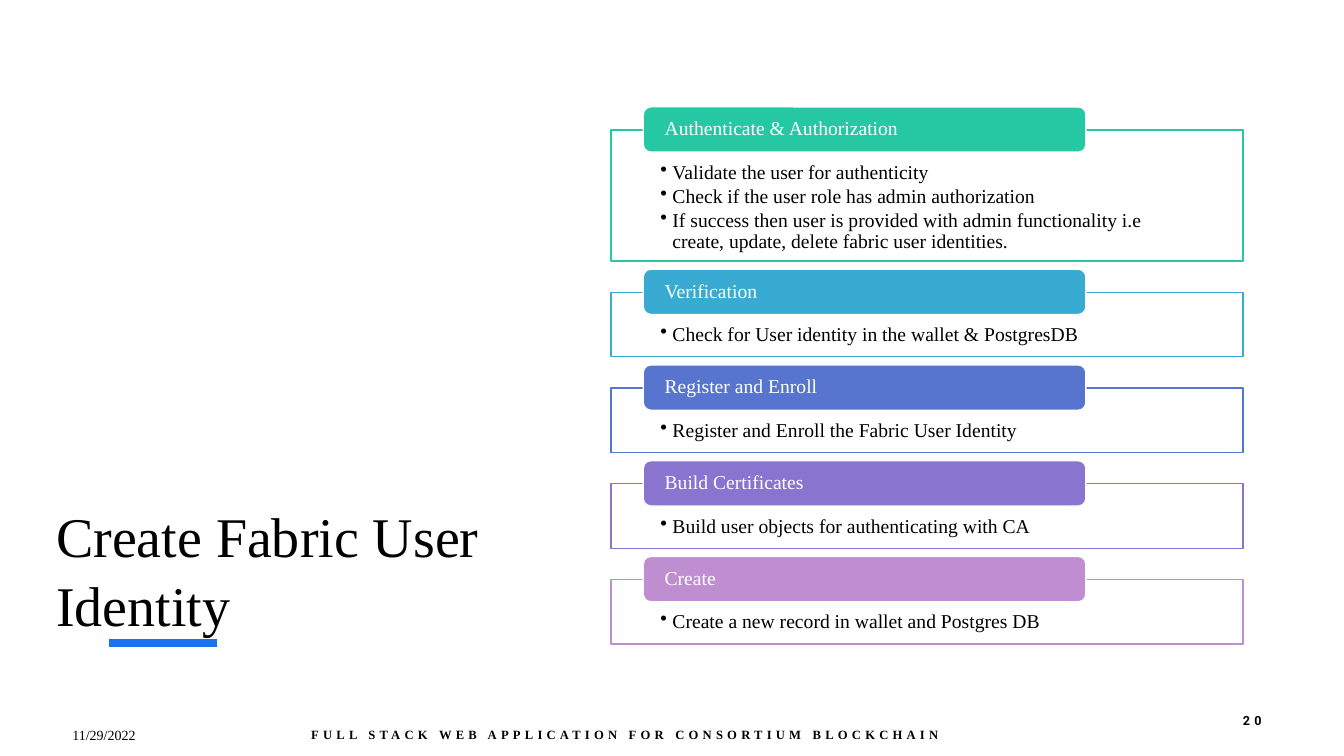
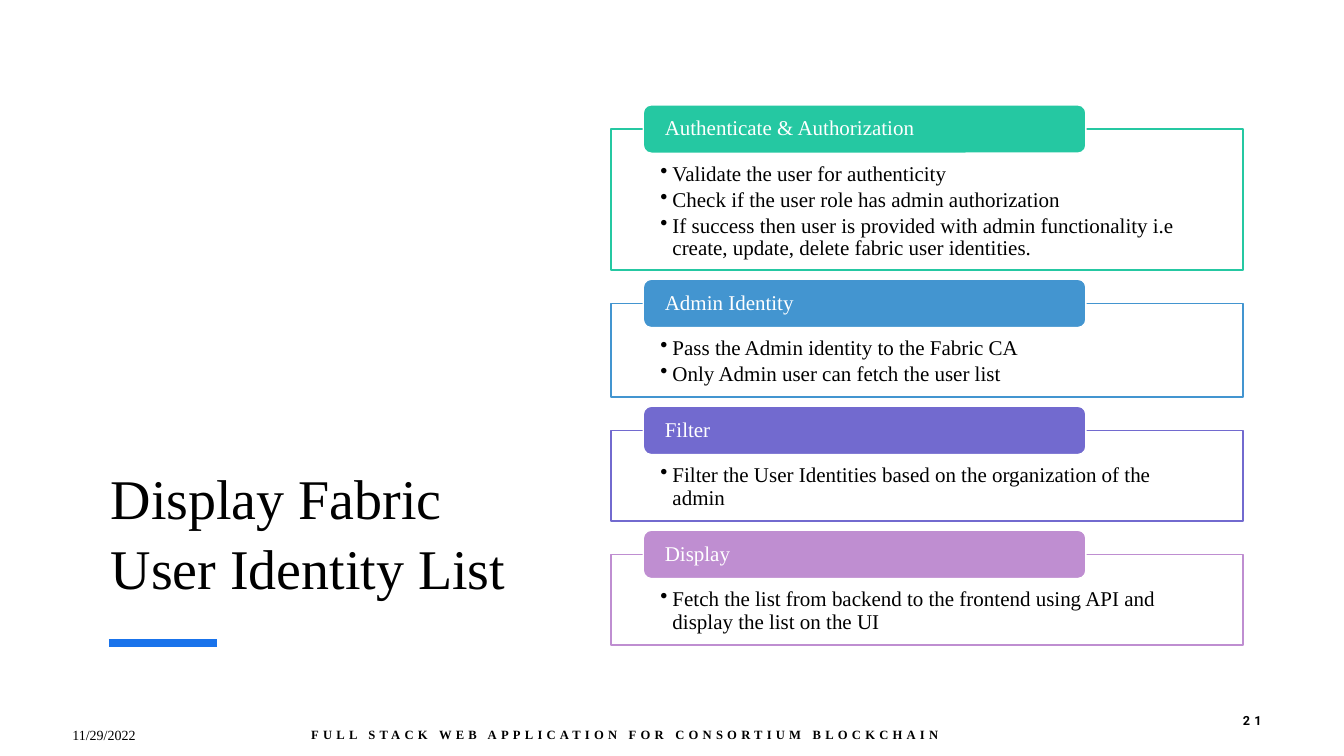
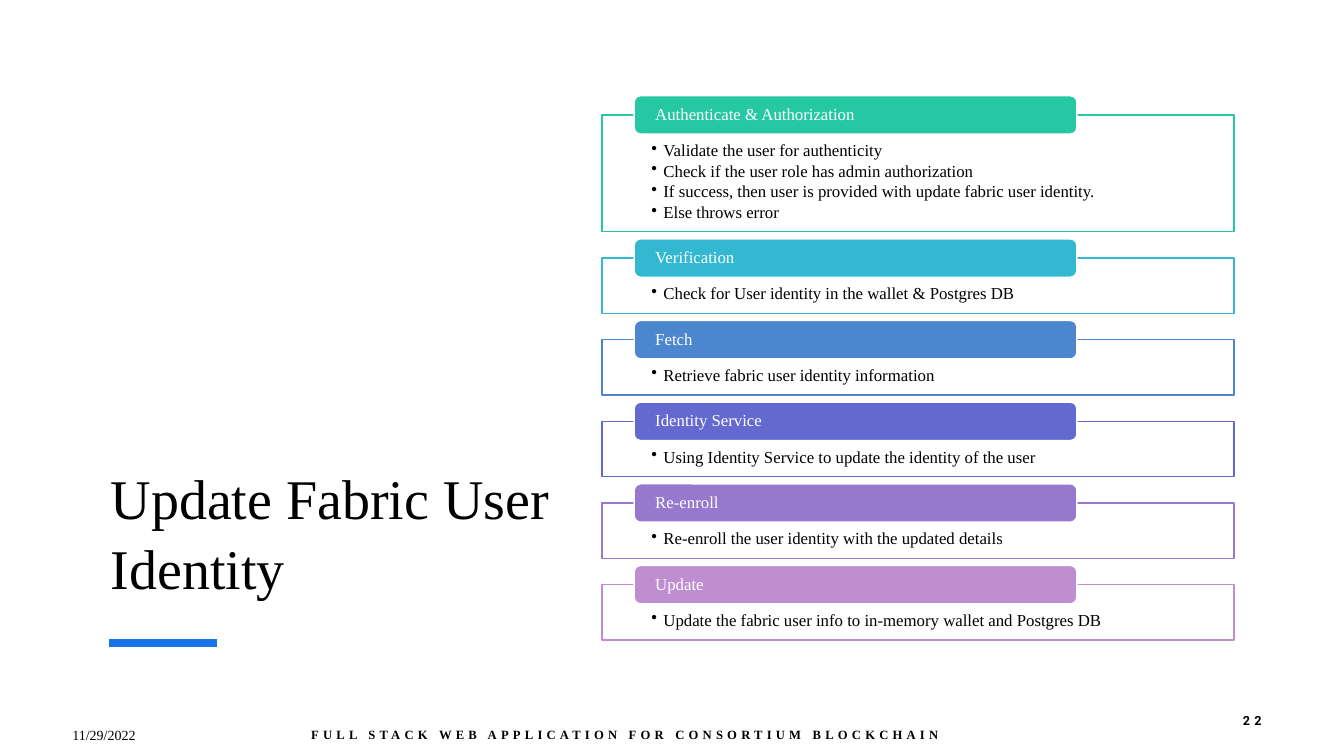
from dataclasses import dataclass

from lxml.etree import SubElement
from pptx import Presentation
from pptx.dml.color import RGBColor
from pptx.enum.shapes import MSO_CONNECTOR, MSO_SHAPE
from pptx.enum.text import MSO_ANCHOR, PP_ALIGN
from pptx.oxml.ns import qn
from pptx.util import Emu, Pt

EMU_PER_PX = 9144  # 100 px to the inch
SERIF = "Times New Roman"
SANS = "Roboto"
BLACK = "000000"
WHITE = "FFFFFF"
ACCENT = "1973EB"
FOOTER = "FULL STACK WEB APPLICATION FOR CONSORTIUM BLOCKCHAIN"
DATE = "11/29/2022"

BOX_WIDTH = 627
BOX_INSET = 49
TAB_WIDTH = 439
TAB_SHIFT = 32
TAB_INSET = 19
BULLET_INDENT = 12


@dataclass(frozen=True)
class Step:
    heading: str
    color: str
    height: int
    bullets: tuple[str, ...]


@dataclass(frozen=True)
class Stack:
    left: int
    top: int
    tab_height: int
    drop: int  # from the top of a tab to the top of its box
    gap: int  # from the bottom of a box to the next tab
    inset_top: int
    inset_bottom: int
    size: int
    steps: tuple[Step, ...]


@dataclass(frozen=True)
class Topic:
    number: int
    title: str
    title_at: tuple[int, int]
    stack: Stack


def px(length: int) -> Emu:
    return Emu(length * EMU_PER_PX)


def rgb(color: str) -> RGBColor:
    return RGBColor.from_string(color)


def set_font(para, size: float, color: str = BLACK, name: str = SERIF,
             bold: bool = False) -> None:
    para.font.size = Pt(size)
    para.font.name = name
    para.font.bold = bold
    para.font.color.rgb = rgb(color)


def set_frame(frame, anchor, insets: tuple[int, int, int, int]) -> None:
    frame.word_wrap = True
    frame.vertical_anchor = anchor
    (frame.margin_left, frame.margin_top,
     frame.margin_right, frame.margin_bottom) = map(px, insets)


def add_label(page, text: str, at: tuple[int, int, int, int], size: int,
              anchor=MSO_ANCHOR.MIDDLE, align=PP_ALIGN.LEFT, name: str = SERIF,
              bold: bool = False, tracking: int = 0):
    box = page.shapes.add_textbox(*map(px, at))
    set_frame(box.text_frame, anchor, (10, 5, 10, 5))
    para = box.text_frame.paragraphs[0]
    span = para.add_run()
    span.text = text
    para.alignment = align
    set_font(para, size, name=name, bold=bold)
    if tracking:
        span._r.get_or_add_rPr().set("spc", str(tracking * 100))
    return para


def add_panel(page, preset, at: tuple[int, int, int, int], fill: str, line: str):
    panel = page.shapes.add_shape(preset, *map(px, at))
    panel.shadow.inherit = False
    panel.fill.solid()
    panel.fill.fore_color.rgb = rgb(fill)
    panel.line.color.rgb = rgb(line)
    panel.line.width = Pt(1)
    return panel


def add_bullet(para) -> None:
    properties = para._p.get_or_add_pPr()
    properties.set("marL", str(px(BULLET_INDENT)))
    properties.set("indent", str(-px(BULLET_INDENT)))
    SubElement(properties, qn("a:buChar")).set("char", "•")


def add_step(page, stack: Stack, step: Step, top: int) -> None:
    # Outlined box with bullets
    box = add_panel(page, MSO_SHAPE.RECTANGLE,
                    (stack.left, top + stack.drop, BOX_WIDTH, step.height),
                    WHITE, step.color)
    frame = box.text_frame
    set_frame(frame, MSO_ANCHOR.TOP,
              (BOX_INSET, stack.inset_top, BOX_INSET, stack.inset_bottom))
    for index, text in enumerate(step.bullets):
        para = frame.add_paragraph() if index else frame.paragraphs[0]
        para.text = text
        add_bullet(para)
        para.alignment = PP_ALIGN.LEFT
        para.line_spacing = 0.9
        para.space_after = Pt(stack.size * 0.15)
        set_font(para, stack.size)

    # Coloured tab over the top edge
    tab = add_panel(page, MSO_SHAPE.ROUNDED_RECTANGLE,
                    (stack.left + TAB_SHIFT, top, TAB_WIDTH, stack.tab_height),
                    step.color, WHITE)
    set_frame(tab.text_frame, MSO_ANCHOR.MIDDLE, (TAB_INSET, 0, TAB_INSET, 0))
    para = tab.text_frame.paragraphs[0]
    para.text = step.heading
    para.alignment = PP_ALIGN.LEFT
    para.line_spacing = 0.9
    set_font(para, stack.size, WHITE)


def add_stack(page, stack: Stack) -> None:
    top = stack.top
    for step in stack.steps:
        add_step(page, stack, step, top)
        top += stack.drop + step.height + stack.gap


def add_rule(page) -> None:
    rule = page.shapes.add_connector(
        MSO_CONNECTOR.STRAIGHT, px(108), px(638), px(215), px(638))
    rule.line.color.rgb = rgb(ACCENT)
    rule.line.width = Pt(6)
    SubElement(rule._element.spPr, qn("a:effectLst"))


def add_topic(deck, topic: Topic) -> None:
    page = deck.slides.add_slide(deck.slide_layouts[6])
    # Title and accent rule
    title = add_label(page, topic.title, (*topic.title_at, 460, 501), 40,
                      anchor=MSO_ANCHOR.BOTTOM)
    title.line_spacing = 1.04
    add_rule(page)
    add_stack(page, topic.stack)
    # Footer
    add_label(page, str(topic.number), (1182, 695, 79, 40), 9,
              align=PP_ALIGN.RIGHT, name=SANS, bold=True, tracking=3)
    add_label(page, FOOTER, (236, 709, 704, 40), 9,
              align=PP_ALIGN.RIGHT, bold=True, tracking=3)
    add_label(page, DATE, (62, 716, 192, 27), 10, anchor=MSO_ANCHOR.TOP)


AUTHENTICATE = "Authenticate & Authorization"
CHECKS = (
    "Validate the user for authenticity",
    "Check if the user role has admin authorization",
)
ADMIN_CHECKS = CHECKS + (
    "If success then user is provided with admin functionality i.e create, "
    "update, delete fabric user identities.",
)
GREEN = "25C8A2"
MAUVE = "BF8ED1"

TOPICS = (
    Topic(20, "Create Fabric User Identity", (46, 137), Stack(
        left=606, top=106, tab_height=45, drop=23, gap=8,
        inset_top=32, inset_bottom=11, size=14, steps=(
            Step(AUTHENTICATE, GREEN, 130, ADMIN_CHECKS),
            Step("Verification", "39AAD1", 64,
                 ("Check for User identity in the wallet & PostgresDB",)),
            Step("Register and Enroll", "5775CF", 64,
                 ("Register and Enroll the Fabric User Identity",)),
            Step("Build Certificates", "8974CF", 64,
                 ("Build user objects for authenticating with CA",)),
            Step("Create", MAUVE, 64,
                 ("Create a new record in wallet and Postgres DB",)),
        ))),
    Topic(21, "Display Fabric User Identity List", (100, 100), Stack(
        left=606, top=104, tab_height=48, drop=24, gap=9,
        inset_top=34, inset_bottom=12, size=15, steps=(
            Step(AUTHENTICATE, GREEN, 140, ADMIN_CHECKS),
            Step("Admin Identity", "4395D0", 93,
                 ("Pass the Admin identity to the Fabric CA",
                  "Only Admin user can fetch the user list")),
            Step("Filter", "726ACF", 90,
                 ("Filter the User Identities based on the organization "
                  "of the admin",)),
            Step("Display", MAUVE, 90,
                 ("Fetch the list from backend to the frontend using API "
                  "and display the list on the UI",)),
        ))),
    Topic(22, "Update Fabric User Identity", (100, 100), Stack(
        left=597, top=95, tab_height=38, drop=19, gap=7,
        inset_top=27, inset_bottom=9, size=12, steps=(
            Step(AUTHENTICATE, GREEN, 116, CHECKS + (
                "If success, then user is provided with update fabric user "
                "identity.",
                "Else throws error")),
            Step("Verification", "33B8D1", 55,
                 ("Check for User identity in the wallet & Postgres DB",)),
            Step("Fetch", "4B86CF", 55,
                 ("Retrieve fabric user identity information",)),
            Step("Identity Service", "6369CF", 55,
                 ("Using Identity Service to update the identity of the user",)),
            Step("Re-enroll", "9679CF", 55,
                 ("Re-enroll the user identity with the updated details",)),
            Step("Update", MAUVE, 55,
                 ("Update the fabric user info to in-memory wallet and "
                  "Postgres DB",)),
        ))),
)


def main() -> None:
    deck = Presentation()
    deck.slide_width = px(1333)
    deck.slide_height = px(750)
    for topic in TOPICS:
        add_topic(deck, topic)
    deck.save("out.pptx")


if __name__ == "__main__":
    main()
